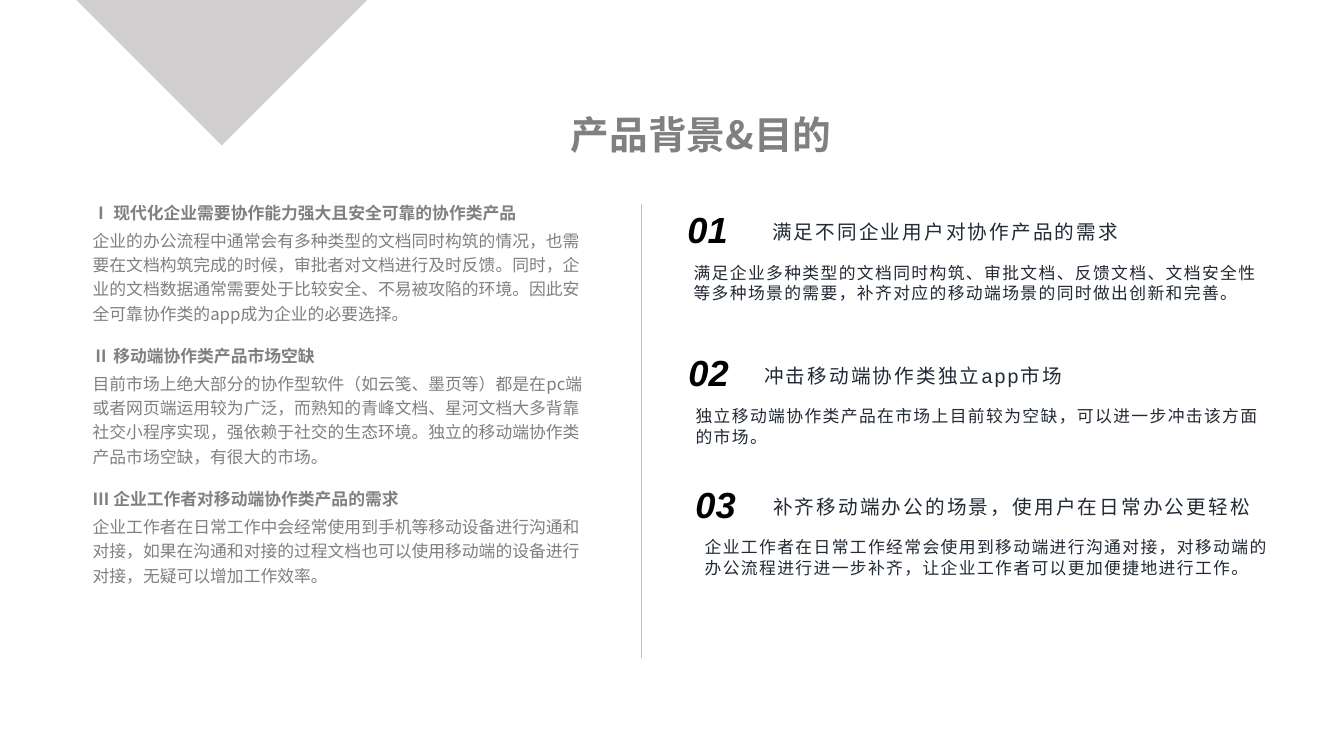
import pptx
import pptx.util
import pptx.dml.color
import pptx.enum.shapes
import pptx.enum.text
import pptx.oxml.xmlchemy

Inches, Pt = pptx.util.Inches, pptx.util.Pt
RGBColor = pptx.dml.color.RGBColor
MSO_ANCHOR = pptx.enum.text.MSO_ANCHOR
PP_ALIGN = pptx.enum.text.PP_ALIGN
OxmlElement = pptx.oxml.xmlchemy.OxmlElement

TITLE = "产品背景&目的"

# (heading, body) from top to bottom of the left column
BACKGROUND = [
    ("Ⅰ 现代化企业需要协作能力强大且安全可靠的协作类产品",
     "企业的办公流程中通常会有多种类型的文档同时构筑的情况，也需要在文档构筑完成的时候，"
     "审批者对文档进行及时反馈。同时，企业的文档数据通常需要处于比较安全、不易被攻陷的环境。"
     "因此安全可靠协作类的app成为企业的必要选择。"),
    ("Ⅱ 移动端协作类产品市场空缺",
     "目前市场上绝大部分的协作型软件（如云笺、墨页等）都是在pc端或者网页端运用较为广泛，"
     "而熟知的青峰文档、星河文档大多背靠社交小程序实现，强依赖于社交的生态环境。"
     "独立的移动端协作类产品市场空缺，有很大的市场。"),
    ("Ⅲ 企业工作者对移动端协作类产品的需求",
     "企业工作者在日常工作中会经常使用到手机等移动设备进行沟通和对接，"
     "如果在沟通和对接的过程文档也可以使用移动端的设备进行对接，无疑可以增加工作效率。"),
]

# (top, number left, heading left, body left, heading, body) of each goal
GOALS = [
    (2.01, 6.72, 7.56, 6.78, "满足不同企业用户对协作产品的需求",
     "满足企业多种类型的文档同时构筑、审批文档、反馈文档、文档安全性等多种场景的需要，"
     "补齐对应的移动端场景的同时做出创新和完善。"),
    (3.43, 6.73, 7.48, 6.8, "冲击移动端协作类独立app市场",
     "独立移动端协作类产品在市场上目前较为空缺，可以进一步冲击该方面的市场。"),
    (4.73, 6.8, 7.57, 6.89, "补齐移动端办公的场景，使用户在日常办公更轻松",
     "企业工作者在日常工作经常会使用到移动端进行沟通对接，对移动端的办公流程进行进一步补齐，"
     "让企业工作者可以更加便捷地进行工作。"),
]

GRAY = RGBColor(0x80, 0x80, 0x80)
LIGHT_GRAY = RGBColor(0xD0, 0xCE, 0xCE)
RULE_GRAY = RGBColor(0xBF, 0xBF, 0xBF)
NAVY = RGBColor(0x22, 0x2A, 0x35)
BLACK = RGBColor(0, 0, 0)
CJK_FONT = "Noto Sans CJK SC"
LATIN_FONT = "Arial"

BACKGROUND_TOP, BACKGROUND_STEP = 1.89, 1.42


def write(paragraph, text, *, size, color, font_name=CJK_FONT, bold=False, italic=False,
          tracking=0, line_spacing=1.0, before=0, after=0, align=PP_ALIGN.LEFT):
    paragraph.alignment = align
    paragraph.line_spacing = line_spacing
    paragraph.space_before, paragraph.space_after = Pt(before), Pt(after)
    run = paragraph.add_run()
    run.text = text
    font = run.font
    font.name, font.size, font.bold, font.italic = font_name, Pt(size), bold, italic
    font.color.rgb = color
    properties = run._r.get_or_add_rPr()
    if tracking:
        properties.set("spc", str(int(tracking * 100)))
    east_asian = OxmlElement("a:ea")
    east_asian.set("typeface", CJK_FONT)
    properties.append(east_asian)


def add_frame(slide, left, top, width, height, margins=(0.1, 0.05)):
    box = slide.shapes.add_textbox(Inches(left), Inches(top), Inches(width), Inches(height))
    frame = box.text_frame
    frame.word_wrap = True
    frame.margin_left = frame.margin_right = Inches(margins[0])
    frame.margin_top = frame.margin_bottom = Inches(margins[1])
    return frame


def add_title(slide):
    title = slide.shapes.title
    title.left, title.top = Inches(4.75), Inches(1)
    title.width, title.height = Inches(4.41), Inches(0.61)
    frame = title.text_frame
    frame.auto_size = pptx.enum.text.MSO_AUTO_SIZE.NONE
    frame.vertical_anchor = MSO_ANCHOR.MIDDLE
    write(frame.paragraphs[0], TITLE, size=27.6, color=GRAY, bold=True,
          line_spacing=1.1, align=PP_ALIGN.CENTER)


def add_corner_triangle(slide):
    triangle = slide.shapes.add_shape(
        pptx.enum.shapes.MSO_SHAPE.RIGHT_TRIANGLE,
        Inches(1.18), Inches(-1.02), Inches(2.04), Inches(2.04))
    triangle.rotation = 315
    triangle.shadow.inherit = False
    triangle.fill.solid()
    triangle.fill.fore_color.rgb = LIGHT_GRAY
    triangle.line.fill.background()


def add_divider(slide):
    divider = slide.shapes.add_connector(
        pptx.enum.shapes.MSO_CONNECTOR.STRAIGHT,
        Inches(6.36), Inches(2.02), Inches(6.36), Inches(6.53))
    divider.line.color.rgb = RULE_GRAY
    divider.line.width = Pt(0.5)
    divider._element.spPr.append(OxmlElement("a:effectLst"))


def add_background(slide):
    for index, (heading, body) in enumerate(BACKGROUND):
        top = BACKGROUND_TOP + index * BACKGROUND_STEP
        frame = add_frame(slide, 0.76, top, 5.2, 1.34, margins=(0.16, 0.08))
        write(frame.paragraphs[0], heading, size=12, color=GRAY, bold=True, line_spacing=1.2)
        write(frame.add_paragraph(), body, size=12, color=GRAY, line_spacing=1.2, before=2.9)


def add_goals(slide):
    for index, (top, number_left, heading_left, body_left, heading, body) in enumerate(GOALS, 1):
        number_frame = add_frame(slide, number_left, top, 0.84, 0.55)
        write(number_frame.paragraphs[0], f"{index:02d}", size=25.9, color=BLACK,
              font_name=LATIN_FONT, bold=True, italic=True)
        heading_frame = add_frame(slide, heading_left, top + 0.08, 5.19, 0.4)
        write(heading_frame.paragraphs[0], heading, size=14, color=NAVY,
              font_name=LATIN_FONT, tracking=1.5, line_spacing=1.2)
        body_frame = add_frame(slide, body_left, top + 0.55, 5.85, 0.59)
        write(body_frame.paragraphs[0], body, size=12, color=NAVY, tracking=1, after=1)


def main():
    presentation = pptx.Presentation()
    presentation.slide_width, presentation.slide_height = Inches(13.33), Inches(7.5)
    slide = presentation.slides.add_slide(presentation.slide_layouts[5])
    add_corner_triangle(slide)
    add_title(slide)
    add_background(slide)
    add_goals(slide)
    add_divider(slide)
    presentation.save("out.pptx")


if __name__ == "__main__":
    main()
